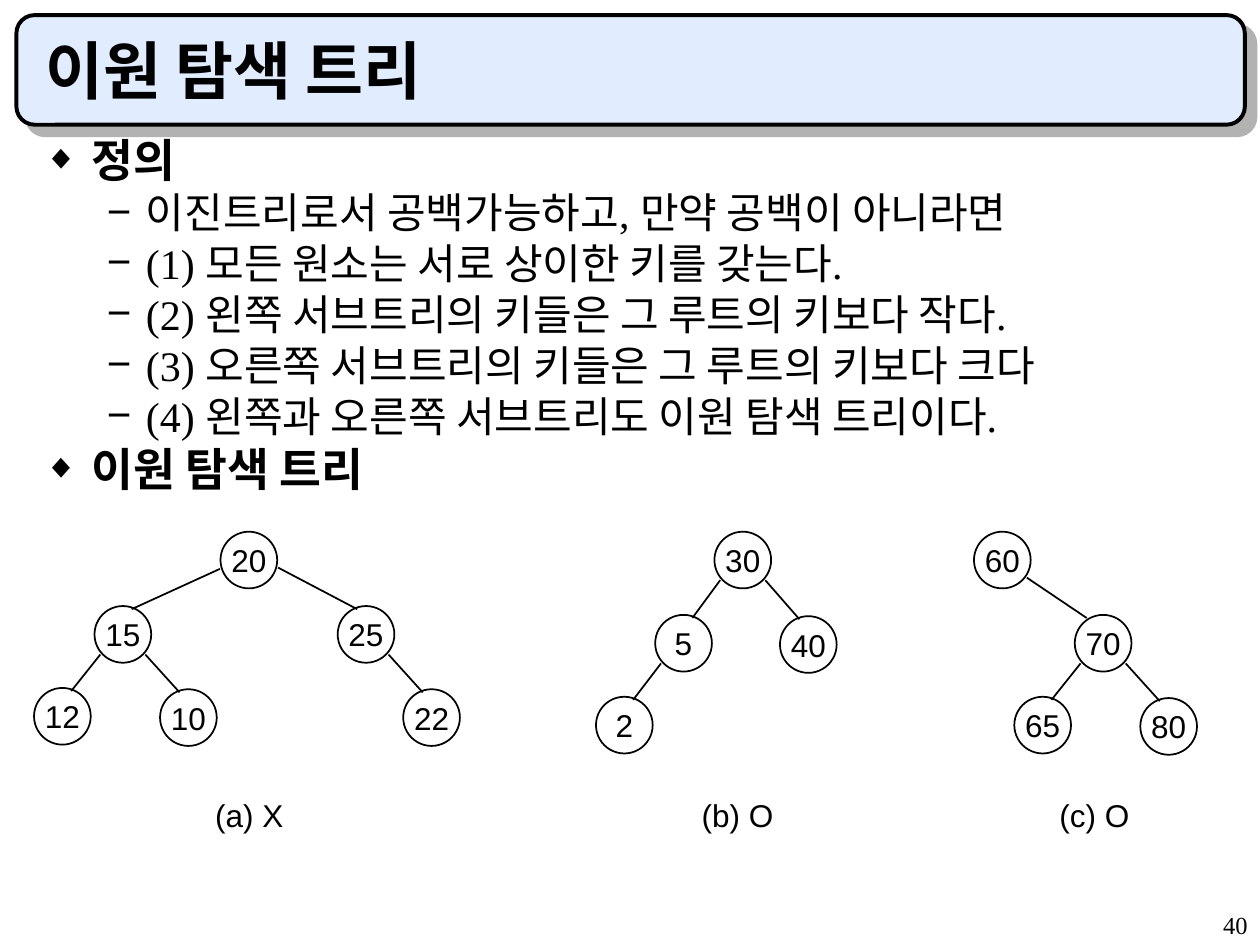
import math
from dataclasses import dataclass

from lxml import etree
from pptx import Presentation
from pptx.dml.color import RGBColor
from pptx.enum import shapes, text
from pptx.oxml import ns
from pptx.util import Inches, Pt


@dataclass(frozen=True)
class Theme:
    ink: RGBColor = RGBColor(0x00, 0x00, 0x00)
    banner: RGBColor = RGBColor(0xE1, 0xEC, 0xFF)
    shadow: str = "B2B2B2"
    korean: str = "Noto Sans CJK KR"
    serif: str = "Times New Roman"
    sans: str = "Arial"
    title_size: int = 36
    heading_size: int = 26
    item_size: int = 24
    node_size: int = 18
    number_size: int = 14


THEME = Theme()
NODE = 0.45

BODY = [
    (0, "정의"),
    (1, "이진트리로서 공백가능하고, 만약 공백이 아니라면"),
    (1, "(1) 모든 원소는 서로 상이한 키를 갖는다."),
    (1, "(2) 왼쪽 서브트리의 키들은 그 루트의 키보다 작다."),
    (1, "(3) 오른쪽 서브트리의 키들은 그 루트의 키보다 크다"),
    (1, "(4) 왼쪽과 오른쪽 서브트리도 이원 탐색 트리이다."),
    (0, "이원 탐색 트리"),
]

# Nodes: key -> offset in the tree's box.
# Edges: parent, child, drop of the start below the parent's centre,
# distance of the end from the child's centre line.
TREES = [
    dict(left=0.27, caption="(a) X", caption_left=1.34,
         nodes={"20": (1.48, 0), "15": (0.48, 0.59), "25": (2.41, 0.59),
                "12": (0, 1.24), "10": (1, 1.25), "22": (2.93, 1.25)},
         edges=[("20", "15", 0.07, 0.07), ("20", "25", 0.06, 0.07),
                ("15", "12", 0.16, 0.07), ("15", "10", 0.16, 0.07),
                ("25", "22", 0.16, 0.07)]),
    dict(left=4.73, caption="(b) O", caption_left=0.74,
         nodes={"30": (0.94, 0), "5": (0.47, 0.66), "40": (1.46, 0.67),
                "2": (0, 1.31)},
         edges=[("30", "5", 0.16, 0.07), ("30", "40", 0.16, 0.07),
                ("5", "2", 0.16, 0.07)]),
    dict(left=7.73, caption="(c) O", caption_left=0.58,
         nodes={"60": (0, 0), "70": (0.8, 0.66), "65": (0.32, 1.31),
                "80": (1.32, 1.32)},
         edges=[("60", "70", 0.14, 0.13), ("70", "65", 0.16, 0.07),
                ("70", "80", 0.16, 0.07)]),
]


def format_paragraph(paragraph, size, font, bold=False):
    for run in paragraph.runs:
        run.font.size = Pt(size)
        run.font.name = font
        run.font.bold = bold
        run.font.color.rgb = THEME.ink
        east_asian = etree.SubElement(run.font._element, ns.qn("a:ea"))
        east_asian.set("typeface", THEME.korean)


def add_text(parent, left, top, width, height, content, size, font,
             bold=False, wrap=True):
    box = parent.shapes.add_textbox(
        Inches(left), Inches(top), Inches(width), Inches(height))
    box.text_frame.text = content
    box.text_frame.word_wrap = wrap
    format_paragraph(box.text_frame.paragraphs[0], size, font, bold)
    return box


def add_bullet(paragraph, character, margin, indent, percent):
    properties = paragraph._p.get_or_add_pPr()
    properties.set("marL", str(Inches(margin)))
    properties.set("indent", str(Inches(-indent)))
    color = etree.SubElement(properties, ns.qn("a:buClr"))
    etree.SubElement(color, ns.qn("a:srgbClr")).set("val", str(THEME.ink))
    etree.SubElement(properties, ns.qn("a:buSzPct")).set("val", str(percent * 1000))
    etree.SubElement(properties, ns.qn("a:buFont")).set("typeface", THEME.sans)
    etree.SubElement(properties, ns.qn("a:buChar")).set("char", character)


def add_shadow(shape):
    effects = etree.SubElement(shape._element.spPr, ns.qn("a:effectLst"))
    shadow = etree.SubElement(
        effects, ns.qn("a:outerShdw"), blurRad="0", dist=str(Pt(8.5)),
        dir=str(45 * 60000), algn="tl", rotWithShape="0")
    etree.SubElement(shadow, ns.qn("a:srgbClr")).set("val", THEME.shadow)


def add_header(slide, left, top, width, height):
    banner = slide.shapes.add_shape(
        shapes.MSO_SHAPE.ROUNDED_RECTANGLE,
        Inches(left), Inches(top), Inches(width), Inches(height))
    banner.fill.solid()
    banner.fill.fore_color.rgb = THEME.banner
    banner.line.color.rgb = THEME.ink
    banner.line.width = Pt(2.25)
    add_shadow(banner)
    title = add_text(slide, left + 0.13, top + 0.11, width - 0.33, height - 0.2,
                     "이원 탐색 트리", THEME.title_size, THEME.korean, bold=True)
    title.text_frame.vertical_anchor = text.MSO_ANCHOR.BOTTOM


def add_body(slide, left, top, width, height):
    box = slide.shapes.add_textbox(
        Inches(left), Inches(top), Inches(width), Inches(height))
    frame = box.text_frame
    frame.word_wrap = True
    for index, (level, content) in enumerate(BODY):
        paragraph = frame.add_paragraph() if index else frame.paragraphs[0]
        paragraph.text = content
        paragraph.level = level
        paragraph.line_spacing = 0.8
        if index:
            paragraph.space_before = Pt(6 if level else 6.5)
        if level:
            add_bullet(paragraph, "−", 0.81, 0.31, 100)
            format_paragraph(paragraph, THEME.item_size, THEME.serif)
        else:
            add_bullet(paragraph, "◆", 0.38, 0.38, 75)
            format_paragraph(paragraph, THEME.heading_size, THEME.serif, bold=True)


def add_node(group, left, top, key):
    node = group.shapes.add_shape(
        shapes.MSO_SHAPE.OVAL,
        Inches(left), Inches(top), Inches(NODE), Inches(NODE))
    node.shadow.inherit = False
    node.fill.background()
    node.line.color.rgb = THEME.ink
    node.line.width = Pt(1)
    frame = node.text_frame
    frame.text = key
    frame.word_wrap = False
    frame.vertical_anchor = text.MSO_ANCHOR.MIDDLE
    frame.paragraphs[0].alignment = text.PP_ALIGN.CENTER
    format_paragraph(frame.paragraphs[0], THEME.node_size, THEME.sans)


def add_edge(group, parent, child, drop, lean):
    side = math.copysign(1, child[0] - parent[0])
    reach = math.sqrt(0.24 ** 2 - drop ** 2)
    start = parent[0] + side * reach, parent[1] + drop
    end = child[0] - side * lean, child[1] - 0.2
    edge = group.shapes.add_connector(
        shapes.MSO_CONNECTOR.STRAIGHT, *map(Inches, start + end))
    edge.line.color.rgb = THEME.ink
    edge.line.width = Pt(1)
    etree.SubElement(edge._element.spPr, ns.qn("a:effectLst"))


def add_tree(slide, top, left, nodes, edges, caption, caption_left):
    group = slide.shapes.add_group_shape()
    centres = {}
    for key, (x, y) in nodes.items():
        add_node(group, left + x, top + y, key)
        centres[key] = left + x + NODE / 2, top + y + NODE / 2
    for parent, child, drop, lean in edges:
        add_edge(group, centres[parent], centres[child], drop, lean)
    add_text(group, left + caption_left, top + 2.05, 0.8, 0.4,
             caption, THEME.node_size, THEME.sans)


def add_slide_number(slide, left, top, width, height):
    box = add_text(slide, left, top, width, height, "40",
                   THEME.number_size, THEME.serif)
    box.text_frame.paragraphs[0].alignment = text.PP_ALIGN.RIGHT


def main():
    presentation = Presentation()
    presentation.slide_width = Inches(10)
    presentation.slide_height = Inches(7.5)
    slide = presentation.slides.add_slide(presentation.slide_layouts[6])
    add_header(slide, 0.13, 0.12, 9.75, 0.87)
    add_body(slide, 0.25, 1.08, 9.42, 2.92)
    for tree in TREES:
        add_tree(slide, 4.22, **tree)
    add_slide_number(slide, 7.92, 7.17, 2.08, 0.33)
    presentation.save("out.pptx")


if __name__ == "__main__":
    main()
